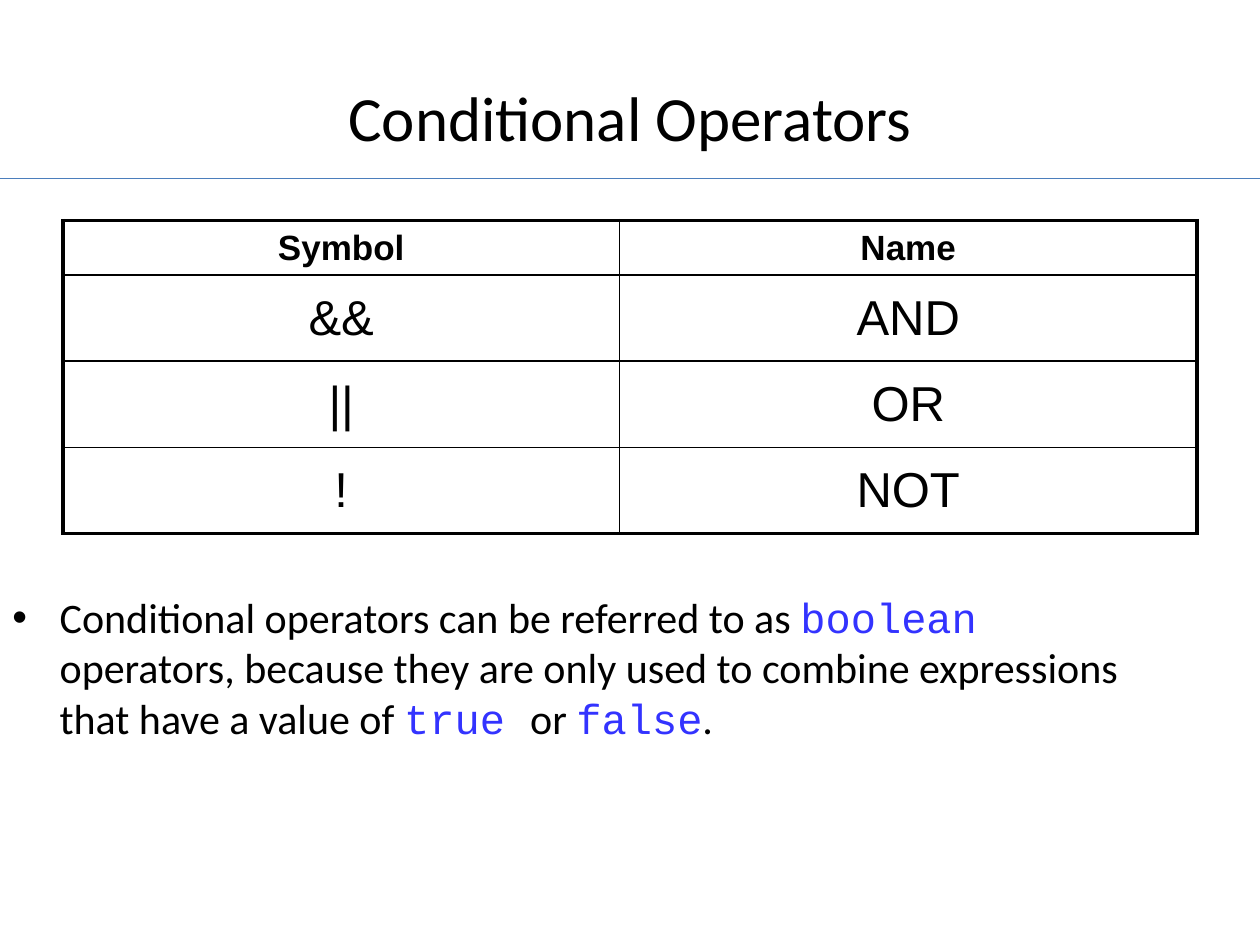
from lxml import etree
from pptx import Presentation
from pptx.dml.color import RGBColor
from pptx.enum.shapes import MSO_CONNECTOR
from pptx.enum.text import MSO_ANCHOR, PP_ALIGN
from pptx.oxml.ns import qn
from pptx.util import Pt

LINE = MSO_CONNECTOR.STRAIGHT
MIDDLE, TOP = MSO_ANCHOR.MIDDLE, MSO_ANCHOR.TOP
CENTER, LEFT = PP_ALIGN.CENTER, PP_ALIGN.LEFT
BLACK, WHITE, BLUE, RULE = "000000", "FFFFFF", "3333FF", "4B7EBC"
THICK, THIN = 2.25, 1
ROWS = [("Symbol", "Name"), ("&&", "AND"), ("||", "OR"), ("!", "NOT")]
NOTE = [
    ("Conditional operators can be referred to as ", False),
    ("boolean", True),
    (" operators, because they are only used to combine expressions "
     "that have a value of ", False),
    ("true ", True),
    ("or ", False),
    ("false", True),
    (".", False),
]


def paint(color):
    """Return the colour for a hex string."""
    return RGBColor.from_string(color)


def add_run(para, text, size, face="Calibri", color=BLACK, bold=False):
    """Append one styled run to a paragraph."""
    run = para.add_run()
    run.text = text
    font = run.font
    font.size, font.name, font.bold = Pt(size), face, bold
    font.color.rgb = paint(color)


def add_text(slide, box, anchor, align):
    """Add a wrapping text box and return its frame and paragraph."""
    frame = slide.shapes.add_textbox(*map(Pt, box)).text_frame
    frame.word_wrap = True
    frame.vertical_anchor = anchor
    para = frame.paragraphs[0]
    para.alignment = align
    return frame, para


def add_title(slide, box, text):
    """Place the centred title."""
    para = add_text(slide, box, MIDDLE, CENTER)[1]
    add_run(para, text, 36)


def add_rule(slide, left, top, width):
    """Draw the thin rule below the title."""
    rule = slide.shapes.add_connector(
        LINE, Pt(left), Pt(top), Pt(left + width), Pt(top))
    rule.line.width = Pt(0.75)
    rule.line.color.rgb = paint(RULE)
    etree.SubElement(rule._element.spPr, qn("a:effectLst"))


def set_edges(cell, widths):
    """Set the left, right, top and bottom borders of a cell."""
    props = cell._tc.get_or_add_tcPr()
    for spot, (side, width) in enumerate(zip("LRTB", widths)):
        edge = etree.Element(qn(f"a:ln{side}"), w=str(Pt(width)))
        fill = etree.SubElement(edge, qn("a:solidFill"))
        etree.SubElement(fill, qn("a:srgbClr"), val=BLACK)
        props.insert(spot, edge)


def add_grid(slide, box, rows, split, head):
    """Build the operator table with a thick outer frame."""
    left, top, width, height = box
    last, end = len(rows) - 1, len(rows[0]) - 1
    table = slide.shapes.add_table(
        len(rows), len(rows[0]), *map(Pt, box)).table
    table.first_row = table.horz_banding = False
    table.columns[0].width = Pt(split)
    table.columns[1].width = Pt(width - split)
    for r, texts in enumerate(rows):
        table.rows[r].height = Pt(head if r == 0 else (height - head) / last)
        for c, text in enumerate(texts):
            cell = table.cell(r, c)
            cell.vertical_anchor = MIDDLE
            cell.fill.solid()
            cell.fill.fore_color.rgb = paint(WHITE)
            para = cell.text_frame.paragraphs[0]
            para.alignment = CENTER
            add_run(para, text, 20 if r == 0 else 28, "Arial", bold=r == 0)
            outer = (c == 0, c == end, r == 0, r == last)
            set_edges(cell, [THICK if out else THIN for out in outer])


def add_note(slide, box, parts):
    """Place the bulleted note with its keywords in code style."""
    frame, para = add_text(slide, box, TOP, LEFT)
    frame.margin_top = Pt(38)
    props = para._p.get_or_add_pPr()
    props.set("marL", str(Pt(27)))
    props.set("indent", str(Pt(-27)))
    etree.SubElement(props, qn("a:buFont"), typeface="Arial")
    etree.SubElement(props, qn("a:buChar"), char="•")
    for text, code in parts:
        face, color = ("Courier New", BLUE) if code else ("Calibri", BLACK)
        add_run(para, text, 24, face, color)


def main():
    """Build and save the slide."""
    deck = Presentation()
    deck.slide_width, deck.slide_height = Pt(720), Pt(540)
    slide = deck.slides.add_slide(deck.slide_layouts[6])
    add_rule(slide, 0, 102, 720)
    add_title(slide, (36, 21.6, 648, 90), "Conditional Operators")
    add_grid(slide, (36, 126, 648, 177.6), ROWS, 318, 30)
    add_note(slide, (0, 300, 648, 216), NOTE)
    deck.save("out.pptx")


if __name__ == "__main__":
    main()
